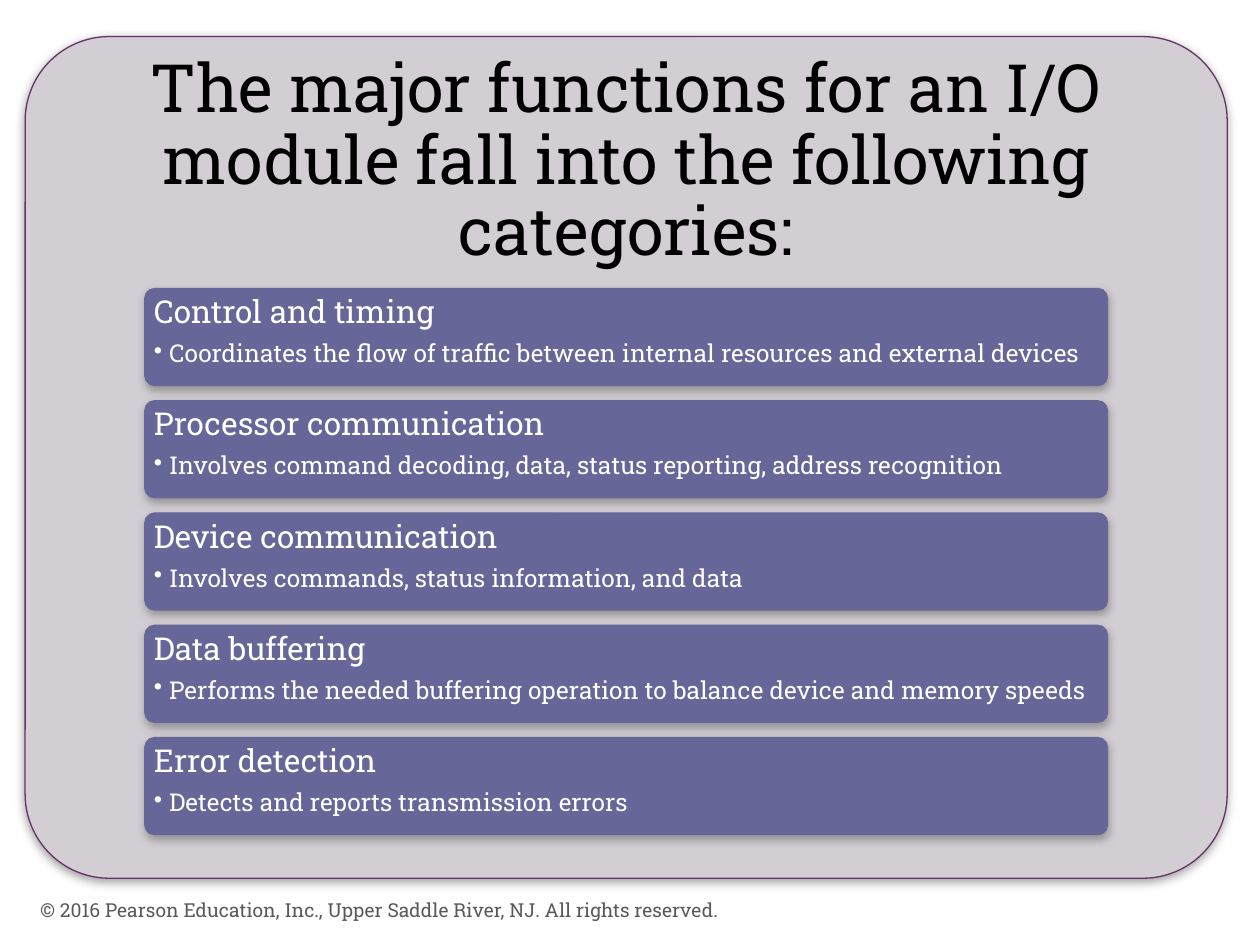
from lxml import etree
from pptx import Presentation, util as u
from pptx.dml.color import RGBColor
from pptx.enum import shapes, text as t
from pptx.oxml.ns import qn

COLORS = {
    "panel": "D3CED3",
    "panel_line": "663366",
    "card": "666699",
    "shadow": "808080",
    "title": "000000",
    "card_text": "FFFFFF",
    "footer": "595959",
}
FUNCTIONS = [
    ("Control and timing",
     "Coordinates the flow of traffic between internal resources and external devices"),
    ("Processor communication",
     "Involves command decoding, data, status reporting, address recognition"),
    ("Device communication",
     "Involves commands, status information, and data"),
    ("Data buffering",
     "Performs the needed buffering operation to balance device and memory speeds"),
    ("Error detection",
     "Detects and reports transmission errors"),
]
COLUMNS, ROWS = 100, 75
CARD_TOP, CARD_HEIGHT, CARD_PITCH = 22.9, 7.7, 8.91


def color(name):
    """Return the named palette colour."""
    return RGBColor.from_string(COLORS[name])


def write(para, content, font="Roboto Slab", size=18, ink="title",
          align=t.PP_ALIGN.LEFT, spacing=0.9, after=0, bullet=None):
    """Fill a paragraph with formatted text."""
    if bullet:
        para.level = 1
        props = para._p.get_or_add_pPr()
        hang = u.Inches(0.12)
        props.set("marL", str(hang))
        props.set("indent", str(-hang))
        etree.SubElement(props, qn("a:buChar"), char=bullet)
    para.alignment = align
    para.line_spacing = spacing
    para.space_before = u.Pt(0)
    para.space_after = u.Pt(after)
    span = para.add_run()
    span.text = content
    span.font.name = font
    span.font.size = u.Pt(size)
    span.font.color.rgb = color(ink)


class Page:
    """Hold the grid, the style and the current slide."""

    def __init__(self, deck):
        """Add a blank slide and measure its grid."""
        self.slide = deck.slides.add_slide(deck.slide_layouts[6])
        self.column = deck.slide_width / COLUMNS
        self.row = deck.slide_height / ROWS

    def place(self, left, top, width, height):
        """Turn grid units into slide lengths."""
        return (round(left * self.column), round(top * self.row),
                round(width * self.column), round(height * self.row))

    def frame(self, box, inset, anchor):
        """Prepare the text frame of a box."""
        frame = box.text_frame
        frame.word_wrap = True
        frame.vertical_anchor = anchor
        across, down = (round(inset[0] * self.column), round(inset[1] * self.row))
        frame.margin_left = frame.margin_right = across
        frame.margin_top = frame.margin_bottom = down
        return frame

    def panel(self, area, fill, line):
        """Draw a rounded rectangle with a soft shadow."""
        box = self.slide.shapes.add_shape(
            shapes.MSO_SHAPE.ROUNDED_RECTANGLE, *self.place(*area))
        box.adjustments[0] = 0.1
        box.fill.solid()
        box.fill.fore_color.rgb = color(fill)
        box.line.color.rgb = color(line)
        box.line.width = u.Pt(0.75)
        box.shadow.inherit = False
        effects = box._element.spPr.find(qn("a:effectLst"))
        shadow = etree.SubElement(
            effects, qn("a:outerShdw"), blurRad=str(u.Pt(5)), dist=str(u.Pt(2)),
            dir="5400000", rotWithShape="0")
        tint = etree.SubElement(shadow, qn("a:srgbClr"), val=COLORS["shadow"])
        etree.SubElement(tint, qn("a:alpha"), val="75000")
        return box

    def label(self, area, content, inset=(1, 0.5), **style):
        """Add a vertically centred text box."""
        box = self.slide.shapes.add_textbox(*self.place(*area))
        frame = self.frame(box, inset, t.MSO_ANCHOR.MIDDLE)
        write(frame.paragraphs[0], content, **style)

    def card(self, area, heading, detail):
        """Add a card with a heading and one bullet."""
        box = self.panel(area, "card", "card")
        frame = self.frame(box, (0.5, 0.4), t.MSO_ANCHOR.TOP)
        write(frame.paragraphs[0], heading, ink="card_text", after=6.3)
        write(frame.add_paragraph(), detail, size=14, ink="card_text", bullet="•")


def main():
    """Build the slide and save it."""
    deck = Presentation()
    deck.slide_width, deck.slide_height = u.Inches(10), u.Inches(7.5)
    page = Page(deck)
    page.panel((2, 2.9, 95.4, 66.8), "panel", "panel_line")
    page.label((2, 2.9, 95.4, 20),
               "The major functions for an I/O module fall into the following categories:",
               inset=(1.6, 1.6), size=38, align=t.PP_ALIGN.CENTER)
    for index, (heading, detail) in enumerate(FUNCTIONS):
        top = CARD_TOP + index * CARD_PITCH
        page.card((11.5, top, 76.4, CARD_HEIGHT), heading, detail)
    page.label((2.2, 70.2, 67, 4),
               "© 2016 Pearson Education, Inc., Upper Saddle River, NJ. All rights reserved.",
               size=11, ink="footer", spacing=1.0)
    deck.save("out.pptx")


if __name__ == "__main__":
    main()
